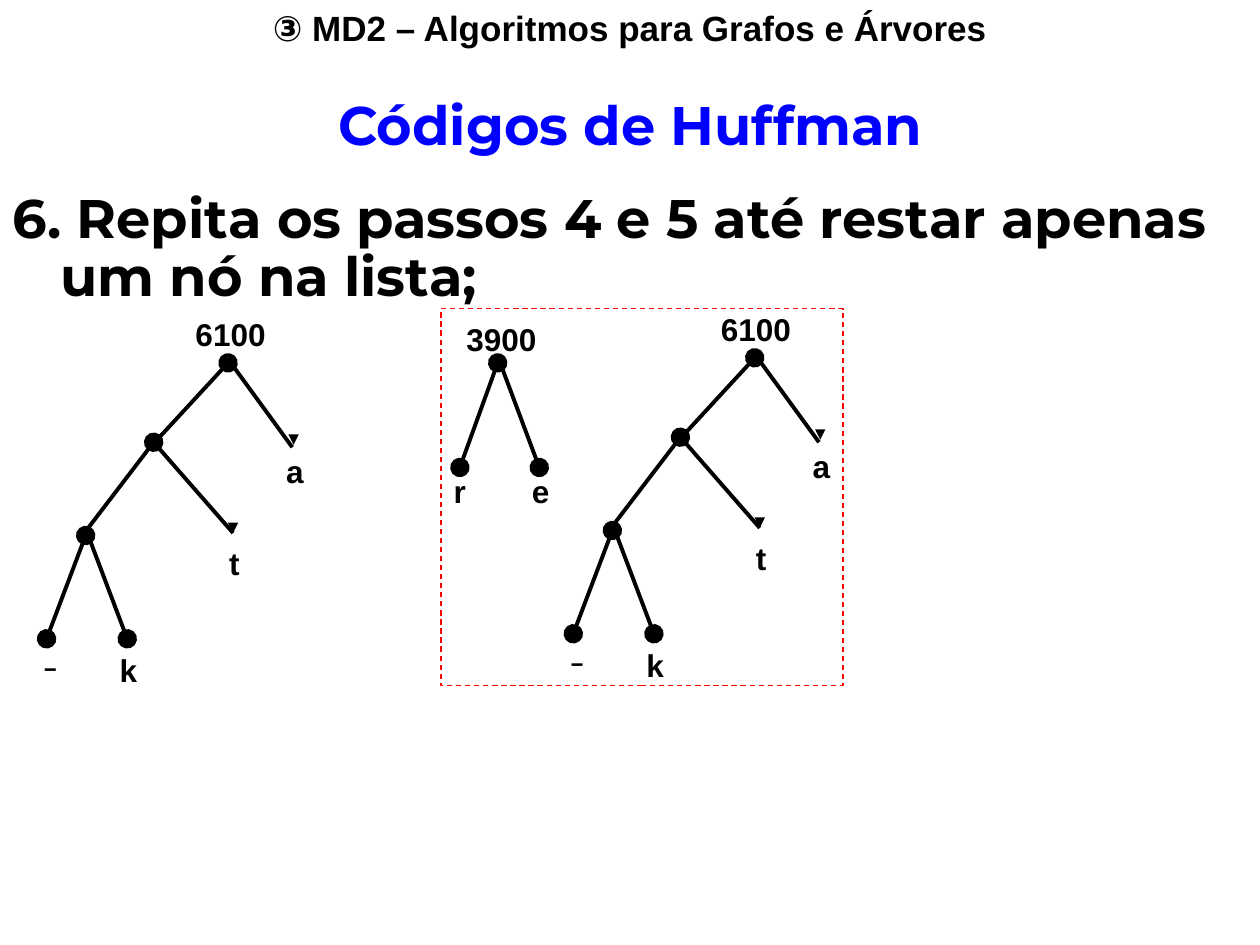
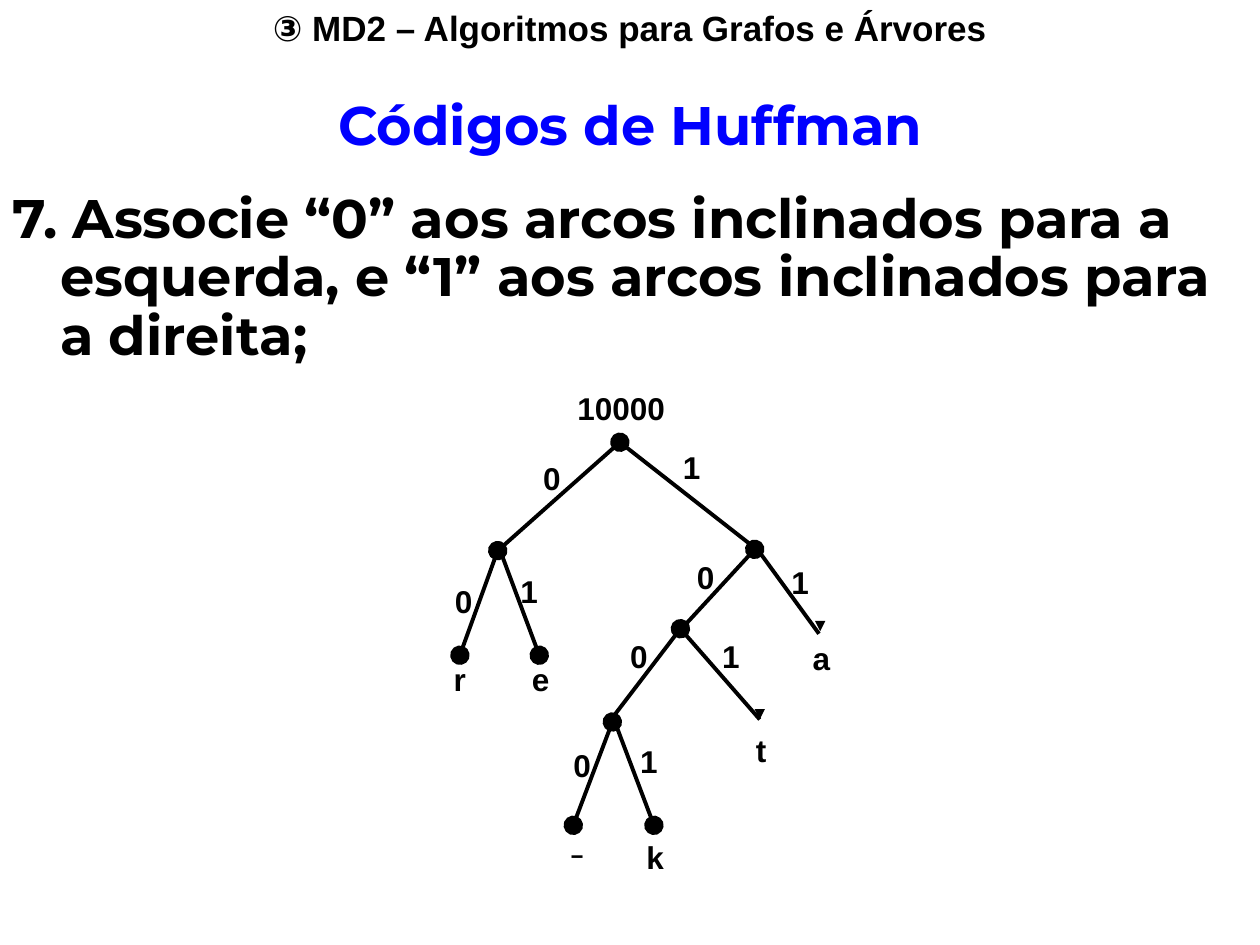
from lxml.etree import SubElement
from pptx import Presentation
from pptx.dml.color import RGBColor
from pptx.enum.dml import MSO_LINE
from pptx.enum.shapes import MSO_CONNECTOR, MSO_SHAPE
from pptx.enum.text import MSO_ANCHOR, MSO_AUTO_SIZE, PP_ALIGN
from pptx.oxml.ns import qn
from pptx.util import Inches, Pt

COLORS = {"ink": "000000", "title": "0000FF", "frame": "FF0000"}
SANS, DISPLAY = "Arial", "Montserrat"

HEADER = "③ MD2 – Algoritmos para Grafos e Árvores"
TITLE = "Códigos de Huffman"
STEPS = [
    "6. Repita os passos 4 e 5 até restar apenas um nó na lista;",
    "7. Associe “0” aos arcos inclinados para a esquerda, "
    "e “1” aos arcos inclinados para a direita;",
]

# Trees: edges are (x1, y1, x2, y2, head, tail), labels are (text, centre x, top)
BIG = {
    "edges": [
        (4.86, 4.21, 4.55, 5.03, "oval", "oval"),
        (4.88, 4.21, 5.19, 5.03, None, "oval"),
        (4.85, 4.19, 5.4, 3.47, None, "oval"),
        (5.4, 3.47, 6.03, 4.19, None, None),
        (5.4, 3.48, 5.99, 2.84, None, "oval"),
        (5.99, 2.81, 6.5, 3.51, None, None),
    ],
    "tips": [(6.51, 3.46), (6.03, 4.16)],
    "labels": [("a", 6.52, 3.5), ("t", 6.04, 4.23), ("k", 5.2, 5.08),
               ("-", 4.58, 4.99)],
}
SMALL = {
    "edges": [
        (3.95, 2.88, 3.65, 3.71, "oval", "oval"),
        (3.97, 2.88, 4.28, 3.71, None, "oval"),
    ],
    "tips": [],
    "labels": [("r", 3.65, 3.7), ("e", 4.29, 3.7)],
}
JOIN = {
    "edges": [
        (3.94, 4.38, 4.92, 3.51, None, "oval"),
        (4.92, 3.51, 5.98, 4.34, None, None),
    ],
    "tips": [],
    "labels": [("10000", 4.93, 3.04)],
}
BITS = {
    "0": [(5.07, 5.01), (5.6, 4.38), (3.68, 4.57), (4.38, 3.59), (4.62, 5.87)],
    "1": [(4.2, 4.49), (5.15, 5.84), (5.8, 5.01), (6.35, 4.42), (5.49, 3.51)],
}
FRAME = (3.5, 2.45, 3.19, 2.99)


def rgb(name):
    return RGBColor.from_string(COLORS[name])


def style(frame, text, font, size, color="ink", bold=True, align=PP_ALIGN.CENTER):
    frame.text = text
    frame.auto_size = MSO_AUTO_SIZE.NONE
    frame.vertical_anchor = MSO_ANCHOR.TOP
    par = frame.paragraphs[0]
    par.alignment = align
    for run in par.runs:
        run.font.name, run.font.size, run.font.bold = font, Pt(size), bold
        run.font.color.rgb = rgb(color)
    return par


def add_text(shapes, box, *args, wrap=True, **kw):
    frame = shapes.add_textbox(*map(Inches, box)).text_frame
    frame.word_wrap = wrap
    return style(frame, *args, **kw)


def add_label(shapes, text, mid, top):
    width = 0.2 + 0.14 * len(text)
    look = (DISPLAY, 24, "ink", False) if text == "-" else (SANS, 18)
    add_text(shapes, (mid - width / 2, top, width, 0.4), text, *look, wrap=False)


def add_line(shapes, ends, width, head=None, tail=None, size="lg"):
    line = shapes.add_connector(MSO_CONNECTOR.STRAIGHT, *map(Inches, ends))
    line.line.width = Pt(width)
    line.line.color.rgb = rgb("ink")
    for tag, kind in (("a:headEnd", head), ("a:tailEnd", tail)):
        if kind:
            SubElement(line.line._get_or_add_ln(), qn(tag), type=kind, w=size, len=size)
    SubElement(line._element.spPr, qn("a:effectLst"))


def add_tree(shapes, tree, dx=0, dy=0):
    for x1, y1, x2, y2, head, tail in tree["edges"]:
        add_line(shapes, (x1 + dx, y1 + dy, x2 + dx, y2 + dy), 2.25, head, tail)
    for x, y in tree["tips"]:
        add_line(shapes, (x + dx, y + dy, x + dx, y + dy + 0.03), 0.75,
                 tail="triangle", size="med")
    for text, x, y in tree["labels"]:
        add_label(shapes, text, x + dx, y + dy)


def add_page(deck, step):
    slide = deck.slides.add_slide(deck.slide_layouts[5])
    add_text(slide.shapes, (0, 0, 10, 0.44), HEADER, SANS, 20)
    title = slide.shapes.title
    title.left, title.top, title.width, title.height = map(Inches, (0, 0.73, 10, 0.6))
    style(title.text_frame, TITLE, DISPLAY, 31, "title").line_spacing = 0.9
    par = add_text(slide.shapes, (0, 1.47, 10, 1), step, DISPLAY, 31,
                   align=PP_ALIGN.LEFT)
    par.line_spacing = 0.9
    props = par._p.get_or_add_pPr()
    props.set("marL", str(Inches(0.38)))
    props.set("indent", str(-Inches(0.38)))
    return slide.shapes


def main():
    deck = Presentation()
    deck.slide_width, deck.slide_height = Inches(10), Inches(7.5)
    merge, codes = [add_page(deck, step) for step in STEPS]

    # Step 6: the finished tree, then the framed pair to be joined
    frame = merge.add_shape(MSO_SHAPE.RECTANGLE, *map(Inches, FRAME))
    frame.shadow.inherit = False
    frame.fill.background()
    frame.line.color.rgb = rgb("frame")
    frame.line.width = Pt(0.75)
    frame.line.dash_style = MSO_LINE.DASH
    left = merge.add_group_shape().shapes
    add_tree(left, BIG, -4.18, 0.04)
    add_label(left, "6100", 1.83, 2.45)
    pair = merge.add_group_shape().shapes
    add_tree(pair, SMALL)
    add_tree(pair, BIG)
    add_label(pair, "3900", 3.98, 2.49)
    add_label(pair, "6100", 6, 2.41)

    # Step 7: both trees under one root, with a bit on each edge
    whole = codes.add_group_shape().shapes
    add_tree(whole, SMALL, dy=1.49)
    add_tree(whole, BIG, dy=1.52)
    add_tree(whole, JOIN)
    for bit, spots in BITS.items():
        for x, y in spots:
            add_label(whole, bit, x, y)

    deck.save("out.pptx")


if __name__ == "__main__":
    main()
